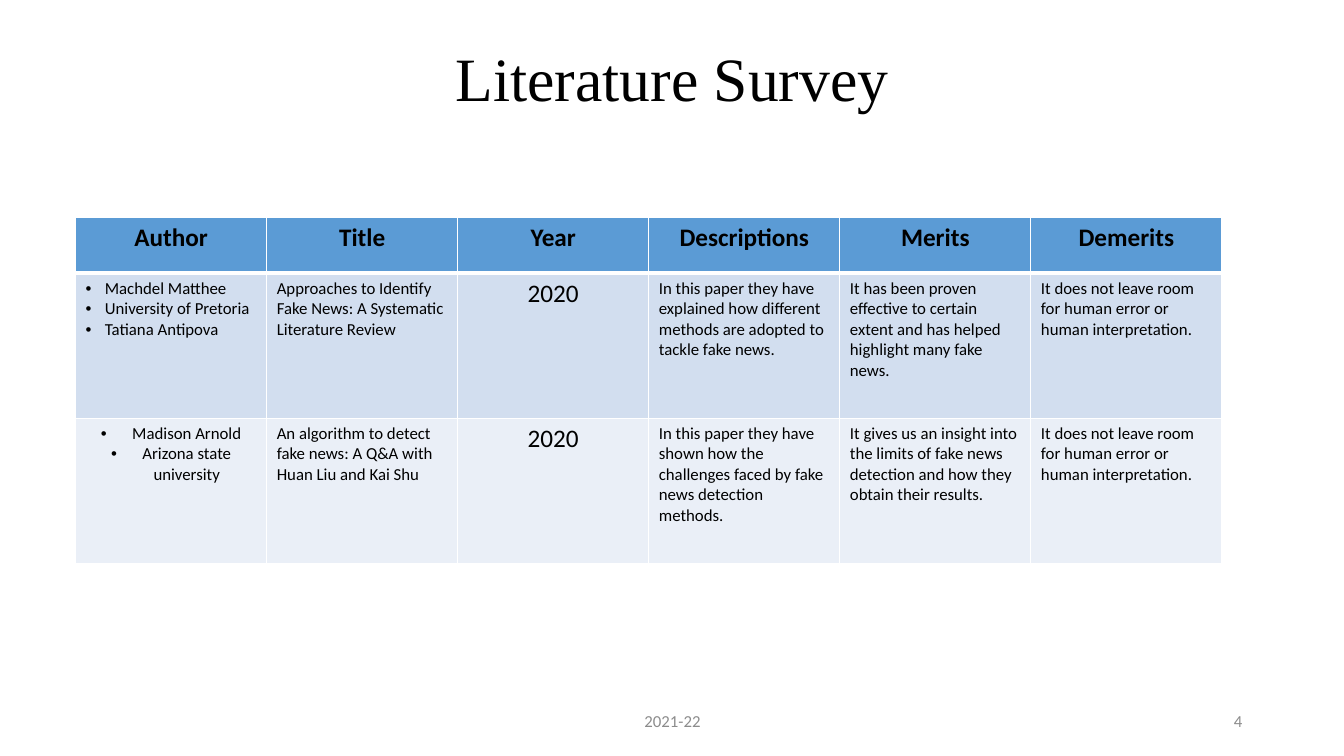
from lxml import etree
from pptx import Presentation
from pptx import util as u
from pptx.dml.color import RGBColor
from pptx.enum import text
from pptx.oxml import ns

ALIGN = text.PP_ALIGN
HEADINGS = ["Author", "Title", "Year", "Descriptions", "Merits", "Demerits"]
NO_ROOM = "It does not leave room for human error or human interpretation."
PAPERS = [
    [
        ["Machdel Matthee", "University of Pretoria", "Tatiana Antipova"],
        "Approaches to Identify Fake News: A Systematic Literature Review",
        "2020",
        "In this paper they have explained how different methods are adopted to tackle fake news.",
        "It has been proven effective to certain extent and has helped highlight many fake news.",
        NO_ROOM,
    ],
    [
        ["Madison Arnold", "Arizona state university"],
        "An algorithm to detect fake news: A Q&A with Huan Liu and Kai Shu",
        "2020",
        "In this paper they have shown how the challenges faced by fake news detection methods.",
        "It gives us an insight into the limits of fake news detection and how they obtain their results.",
        NO_ROOM,
    ],
]
AUTHOR_LISTS = [(ALIGN.LEFT, 0.19), (ALIGN.CENTER, 0.31)]
ROW_FILLS = ["5B9BD5", "D2DEEF", "EAEFF7"]
ROW_HEIGHTS = [0.55, 1.44, 1.44]


def color(code):
    return RGBColor.from_string(code)


class SurveySlide:
    body_font = "Calibri"
    ink = "000000"
    muted = "8C8C8C"
    rule = "FFFFFF"

    def __init__(self, deck):
        self.slide = deck.slides.add_slide(deck.slide_layouts[5])

    def style(self, paragraph, size, align=ALIGN.LEFT, ink=None, font=None, bold=False):
        paragraph.alignment = align
        paragraph.font.size = u.Pt(size)
        paragraph.font.name = font or self.body_font
        paragraph.font.bold = bold
        paragraph.font.color.rgb = color(ink or self.ink)

    def title(self, wording):
        heading = self.slide.shapes.title
        heading.left, heading.top = u.Inches(0.92), u.Inches(0.4)
        heading.width, heading.height = u.Inches(11.5), u.Inches(1.45)
        frame = heading.text_frame
        frame.text = wording
        frame.auto_size = text.MSO_AUTO_SIZE.NONE
        frame.vertical_anchor = text.MSO_ANCHOR.MIDDLE
        frame.margin_bottom = u.Inches(0.68)
        frame.paragraphs[0].line_spacing = 0.9
        self.style(frame.paragraphs[0], 44, ALIGN.CENTER, font="Times New Roman")

    def footer(self, wording, left, width, align):
        box = self.slide.shapes.add_textbox(
            u.Inches(left), u.Inches(6.95), u.Inches(width), u.Inches(0.4))
        frame = box.text_frame
        frame.word_wrap = True
        frame.vertical_anchor = text.MSO_ANCHOR.MIDDLE
        frame.text = wording
        self.style(frame.paragraphs[0], 12, align, self.muted)

    def bullet(self, paragraph, indent):
        props = paragraph._p.get_or_add_pPr()
        props.set("marL", str(u.Inches(indent)))
        props.set("indent", str(-u.Inches(indent)))
        etree.SubElement(props, ns.qn("a:buFont")).set("typeface", "Arial")
        etree.SubElement(props, ns.qn("a:buChar")).set("char", "•")

    def borders(self, cell, top, bottom):
        props = cell._tc.get_or_add_tcPr()
        for side, width in (("L", 1), ("R", 1), ("T", top), ("B", bottom)):
            line = etree.SubElement(props, ns.qn(f"a:ln{side}"), w=str(u.Pt(width)))
            fill = etree.SubElement(line, ns.qn("a:solidFill"))
            etree.SubElement(fill, ns.qn("a:srgbClr"), val=self.rule)

    def table(self, rows):
        grid = self.slide.shapes.add_table(
            len(rows), len(HEADINGS), u.Inches(0.75), u.Inches(2.16),
            u.Inches(11.37), u.Inches(sum(ROW_HEIGHTS))).table
        for r, row in enumerate(rows):
            grid.rows[r].height = u.Inches(ROW_HEIGHTS[r])
            for c, content in enumerate(row):
                cell = grid.cell(r, c)
                self.borders(cell, top=3 if r == 1 else 1, bottom=3 if r == 0 else 1)
                cell.fill.solid()
                cell.fill.fore_color.rgb = color(ROW_FILLS[r])
                self.fill_cell(cell, content, r, HEADINGS[c])

    def fill_cell(self, cell, content, r, heading):
        authors = isinstance(content, list)
        cell.text = "\n".join(content) if authors else content
        for paragraph in cell.text_frame.paragraphs:
            if authors:
                align, indent = AUTHOR_LISTS[r - 1]
                self.style(paragraph, 12, align)
                self.bullet(paragraph, indent)
            elif r == 0 or heading == "Year":
                self.style(paragraph, 18, ALIGN.CENTER, bold=r == 0)
            else:
                self.style(paragraph, 12)


def main():
    deck = Presentation()
    deck.slide_width, deck.slide_height = u.Inches(13.33), u.Inches(7.5)
    survey = SurveySlide(deck)
    survey.title("Literature Survey")
    survey.table([HEADINGS] + PAPERS)
    survey.footer("2021-22", 4.42, 4.5, ALIGN.CENTER)
    survey.footer("4", 9.42, 3, ALIGN.RIGHT)
    deck.save("out.pptx")


if __name__ == "__main__":
    main()
